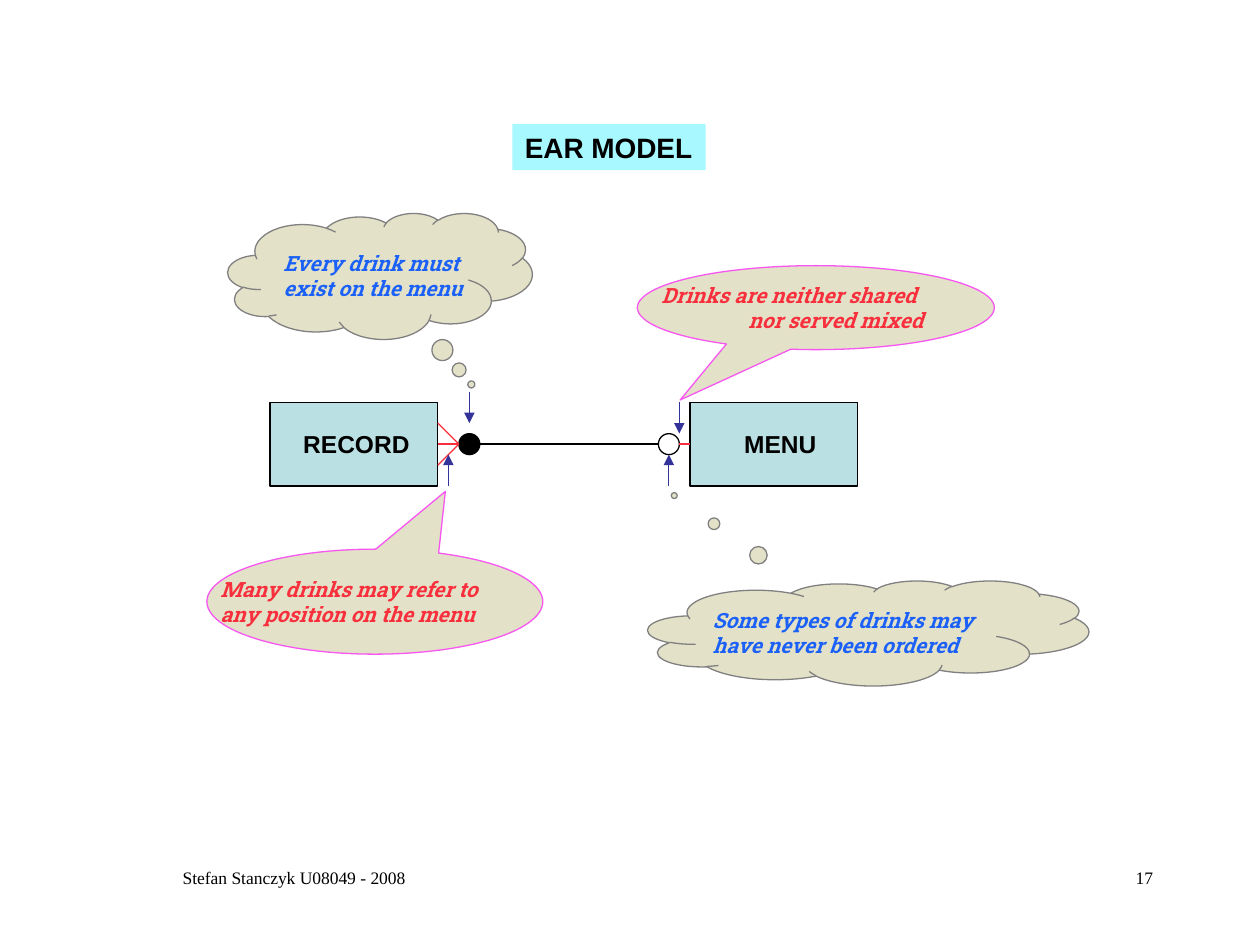
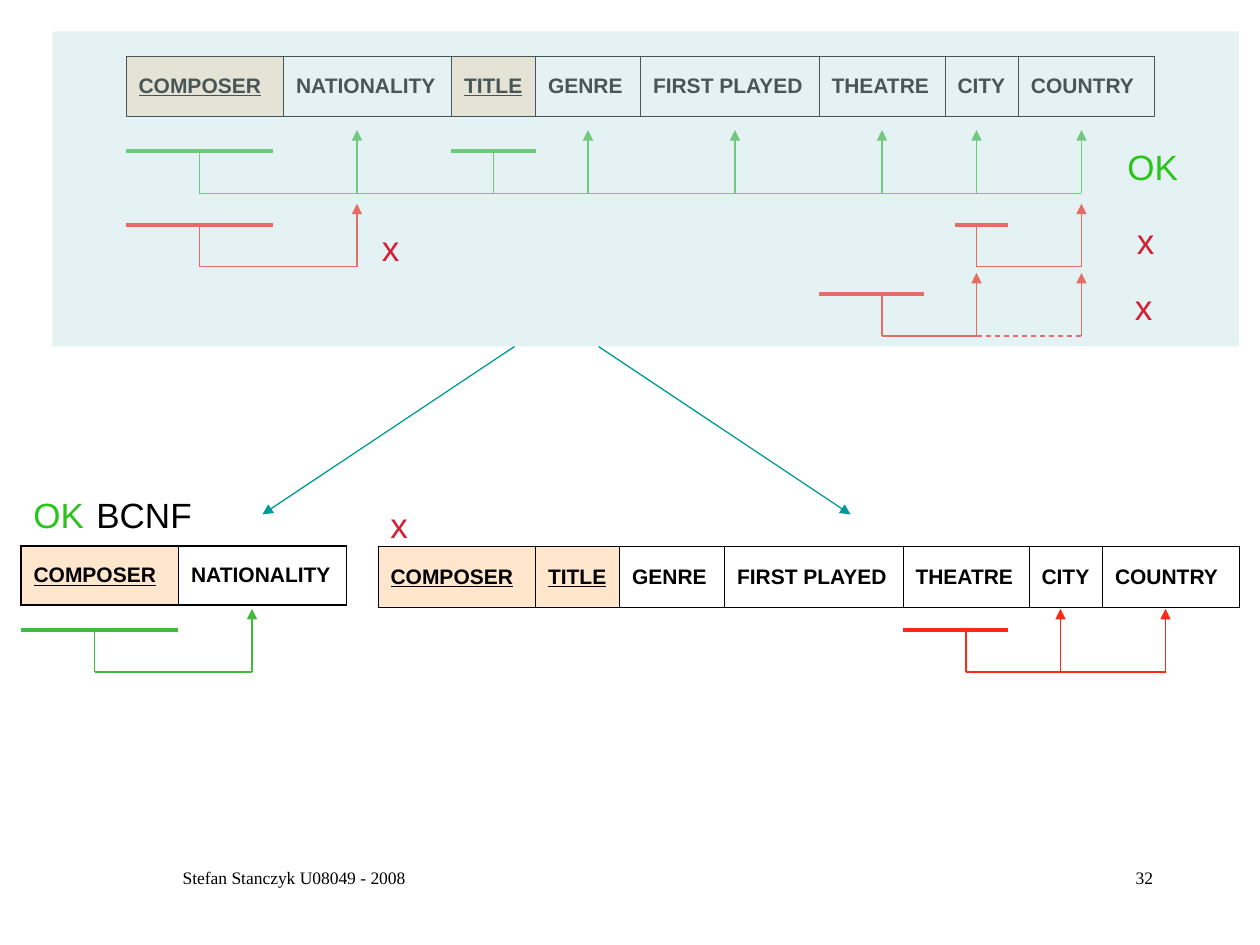
"""Build the EAR model slide and the table decomposition slide on a grid of twelfths of an inch."""
from lxml.etree import SubElement
from pptx import Presentation
from pptx.dml.color import RGBColor
from pptx.enum.dml import MSO_LINE
from pptx.enum.shapes import MSO_CONNECTOR, MSO_SHAPE as SHAPE
from pptx.enum.text import MSO_ANCHOR, PP_ALIGN as ALIGN
from pptx.oxml.ns import qn
from pptx.util import Inches, Pt

BLACK = RGBColor(0x00, 0x00, 0x00)
WHITE = RGBColor(0xFF, 0xFF, 0xFF)
SAND = RGBColor(0xE3, 0xE1, 0xC8)
GREY = RGBColor(0x80, 0x80, 0x80)
PINK = RGBColor(0xF8, 0x56, 0xF0)
BLUE = RGBColor(0x1B, 0x61, 0xF8)
RED = RGBColor(0xF8, 0x2F, 0x3C)
NAVY = RGBColor(0x33, 0x33, 0x99)
AQUA = RGBColor(0xBB, 0xE0, 0xE3)
CYAN = RGBColor(0xA8, 0xF8, 0xFF)
TEAL = RGBColor(0x00, 0x99, 0x99)
PEACH = RGBColor(0xFF, 0xE6, 0xCD)
GOOD_LINE = RGBColor(0x44, 0xB9, 0x3F)
BAD_LINE = RGBColor(0xFF, 0x27, 0x18)
GOOD = RGBColor(0x2A, 0xC4, 0x1A)
BAD = RGBColor(0xD5, 0x1E, 0x34)

SANS, SERIF, SLAB = "Arial", "Times New Roman", "Roboto Slab"
FOOTER = "Stefan Stanczyk U08049 - 2008"

CLOUD = (SHAPE.CLOUD_CALLOUT, GREY, BLUE)
SPEECH = (SHAPE.OVAL_CALLOUT, PINK, RED)
BUBBLES = [
    (CLOUD, (61.7, 55.3, 42, 10), (-0.44, -1.31), (66.7, 57.3, 30.5, 6),
     ["Some types of drinks may", "have never been ordered"], 0),
    (CLOUD, (21.7, 20.3, 29, 12), (0.3, 0.86), (25.8, 23.3, 21.4, 6),
     ["Every drink must", "exist on the menu"], 0),
    (SPEECH, (19.7, 52.3, 32, 10), (0.21, -1.05), (19.8, 54.3, 30, 6),
     ["Many drinks may refer to", "any position on the menu"], 0),
    (SPEECH, (60.7, 25.3, 34, 8), (-0.38, 1.1), (61.8, 26.3, 32, 6),
     ["Drinks are neither shared", "nor served mixed"], 8.3),
]
MODEL_X, MODEL_Y = 25.7, 38.3
ENTITIES = [("RECORD", 0, 2), ("MENU", 40, 44)]
MEMBERSHIPS = [(18, BLACK), (37, WHITE)]
RELATION_ENDS = [(18, 4, 16, 2), (18, 4, 16, 4), (18, 4, 16, 6), (40, 4, 39, 4)]
POINTERS = [(19, -1, 19, 2), (17, 8, 17, 5), (38, 8, 38, 5), (39, 0, 39, 3)]

COLUMN_WIDTHS = {"COMPOSER": 15, "NATIONALITY": 16, "TITLE": 8, "GENRE": 10,
                 "FIRST PLAYED": 17, "THEATRE": 12, "CITY": 7, "COUNTRY": 13}
KEYS = {"COMPOSER", "TITLE"}
COMPOSERS = ["COMPOSER", "NATIONALITY"]
WORKS = [name for name in COLUMN_WIDTHS if name != "NATIONALITY"]
SPLITS = [(49, 33, 25, 49), (57, 33, 81, 49)]

DETERMINANT_COMPOSER = (12, 26, 19)
UPPER_DEPENDENCIES = [
    (14.4, [DETERMINANT_COMPOSER, (43, 51, 47)], [34, 56, 70, 84, 93, 103], GOOD_LINE, None),
    (21.4, [DETERMINANT_COMPOSER], [34], BAD_LINE, None),
    (21.4, [(91, 96, 93)], [103], BAD_LINE, None),
    (28, [(78, 88, 84)], [93, 103], BAD_LINE, 93),
]
LOWER_DEPENDENCIES = [
    (60, [(2, 17, 9)], [24], GOOD_LINE, None),
    (60, [(86, 96, 92)], [101, 111], BAD_LINE, None),
]
LOWER_VERDICTS = [
    ((2, 45.1, 17.4, 6.8), [("OK", SANS, 20, GOOD), (" ", SERIF, 28, GOOD_LINE),
                            ("BCNF", SANS, 20, BLACK)]),
    ((36, 47.4, 4.1, 5.3), [("x", SANS, 20, BAD)]),
]
UPPER_VERDICTS = [
    ((107.1, 20.3, 4.1, 5.3), [("x", SANS, 20, BAD)]),
    ((35.2, 21, 4.1, 5.3), [("x", SANS, 20, BAD)]),
    ((106.9, 26.6, 4.1, 5.3), [("x", SANS, 20, BAD)]),
    ((106.2, 13.3, 7.2, 5.3), [("OK", SANS, 20, GOOD)]),
]


def grid(*cells):
    return [Inches(cell / 12) for cell in cells]


def style(paragraph, face, size, color, bold=False, italic=False, underline=False):
    font = paragraph.font
    font.name, font.size, font.bold, font.italic = face, Pt(size), bold, italic
    font.underline = underline
    font.color.rgb = color


def add_box(slide, kind, place, fill, outline=None):
    box = slide.shapes.add_shape(kind, *grid(*place))
    box.shadow.inherit = False
    box.fill.solid()
    box.fill.fore_color.rgb = fill
    if outline is None:
        box.line.fill.background()
    else:
        box.line.color.rgb = outline
        box.line.width = Pt(0.75)
    return box


def add_text(slide, place, lines, *look, align=ALIGN.LEFT, last_indent=0, **emphasis):
    frame = slide.shapes.add_textbox(*grid(*place)).text_frame
    frame.word_wrap = True
    if align == ALIGN.LEFT:
        frame.margin_right = 0
    frame.text = "\n".join(lines)
    for paragraph in frame.paragraphs:
        paragraph.alignment = align
        style(paragraph, *look, **emphasis)
    if last_indent:
        frame.paragraphs[-1]._p.get_or_add_pPr().set("marL", str(grid(last_indent)[0]))


def add_verdict(slide, place, parts):
    frame = slide.shapes.add_textbox(*grid(*place)).text_frame
    frame.word_wrap = True
    frame.margin_right = 0
    for words, *look in parts:
        run = frame.paragraphs[0].add_run()
        run.text = words
        style(run, *look)


def add_line(slide, ends, color, width=0.75, arrow=False, dashed=False):
    link = slide.shapes.add_connector(MSO_CONNECTOR.STRAIGHT, *grid(*ends))
    link.line.color.rgb = color
    link.line.width = Pt(width)
    if dashed:
        link.line.dash_style = MSO_LINE.DASH
    if arrow:
        SubElement(link.line._get_or_add_ln(), qn("a:tailEnd"), type="triangle")
    SubElement(link._element.spPr, qn("a:effectLst"))


def add_border(cell, side, width):
    edge = SubElement(cell._tc.get_or_add_tcPr(), qn(f"a:ln{side}"), w=str(Pt(width)))
    SubElement(SubElement(edge, qn("a:solidFill")), qn("a:srgbClr"), val=str(BLACK))


def add_relation(slide, left, top, height, names, outer=0.45, inner=0.45):
    widths = [COLUMN_WIDTHS[name] for name in names]
    table = slide.shapes.add_table(1, len(names), *grid(left, top, sum(widths), height)).table
    table.first_row = table.horz_banding = False
    table.rows[0].height = grid(height)[0]
    for index, name in enumerate(names):
        table.columns[index].width = grid(widths[index])[0]
        cell = table.cell(0, index)
        cell.text = name
        cell.vertical_anchor = MSO_ANCHOR.MIDDLE
        cell.margin_right = 0
        style(cell.text_frame.paragraphs[0], SANS, 12, BLACK, bold=True, underline=name in KEYS)
        add_border(cell, "L", outer if index == 0 else inner)
        add_border(cell, "R", outer if name == names[-1] else inner)
        add_border(cell, "T", outer)
        add_border(cell, "B", outer)
        if name in KEYS:
            cell.fill.solid()
            cell.fill.fore_color.rgb = PEACH
        else:
            cell.fill.background()


def add_dependency(slide, top, determinants, targets, color, dashed_from):
    bus, tip = top + 4, top - 2
    for start, end, stem in determinants:
        add_line(slide, (start, top, end, top), color, width=2.25)
        add_line(slide, (stem, top, stem, bus), color)
    for target in targets:
        add_line(slide, (target, bus, target, tip), color, arrow=True)
    solid_end = dashed_from or targets[-1]
    add_line(slide, (determinants[0][2], bus, solid_end, bus), color)
    if dashed_from:
        add_line(slide, (dashed_from, bus, targets[-1], bus), color, dashed=True)


def add_footer(slide, number):
    add_text(slide, (9, 82, 38, 6), [FOOTER], SERIF, 10, BLACK, align=ALIGN.CENTER)
    add_text(slide, (86, 82, 25, 6), [number], SERIF, 10, BLACK, align=ALIGN.RIGHT)


def in_model(x1, y1, x2, y2):
    return x1 + MODEL_X, y1 + MODEL_Y, x2 + MODEL_X, y2 + MODEL_Y


def build_ear_model(slide):
    for (kind, outline, ink), place, pointer, text_place, lines, indent in BUBBLES:
        bubble = add_box(slide, kind, place, SAND, outline)
        bubble.adjustments[0], bubble.adjustments[1] = pointer
        add_text(slide, text_place, lines, SLAB, 12, ink,
                 last_indent=indent, bold=True, italic=True)
    title_place = (48.8, 11.8, 18.4, 4.4)
    add_box(slide, SHAPE.RECTANGLE, title_place, CYAN)
    add_text(slide, title_place, ["EAR MODEL"], SANS, 16, BLACK, bold=True)
    add_line(slide, in_model(16, 4, 40, 4), BLACK)
    for name, left, label_left in ENTITIES:
        add_box(slide, SHAPE.RECTANGLE, (MODEL_X + left, MODEL_Y, 16, 8), AQUA, BLACK)
        add_text(slide, (MODEL_X + label_left, MODEL_Y + 2, 12.5, 4), [name],
                 SANS, 14, BLACK, bold=True)
    for left, fill in MEMBERSHIPS:
        add_box(slide, SHAPE.OVAL, (MODEL_X + left, MODEL_Y + 3, 2, 2), fill, BLACK)
    for ends in RELATION_ENDS:
        add_line(slide, in_model(*ends), RED)
    for ends in POINTERS:
        add_line(slide, in_model(*ends), NAVY, arrow=True)
    add_footer(slide, "17")


def build_decomposition(slide):
    add_relation(slide, 2, 52, 5.64, COMPOSERS, outer=1.08)
    add_relation(slide, 36, 52, 5.84, WORKS)
    for dependency in LOWER_DEPENDENCIES:
        add_dependency(slide, *dependency)
    for verdict in LOWER_VERDICTS:
        add_verdict(slide, *verdict)
    for ends in SPLITS:
        add_line(slide, ends, TEAL, arrow=True)
    add_relation(slide, 12, 5.4, 5.64, list(COLUMN_WIDTHS))
    for dependency in UPPER_DEPENDENCIES:
        add_dependency(slide, *dependency)
    veil = add_box(slide, SHAPE.RECTANGLE, (5, 3, 113, 30), AQUA)
    tint = veil._element.spPr.find(qn("a:solidFill"))[0]
    SubElement(tint, qn("a:alpha"), val="39000")
    for verdict in UPPER_VERDICTS:
        add_verdict(slide, *verdict)
    add_footer(slide, "32")


def main():
    deck = Presentation()
    deck.slide_width, deck.slide_height = grid(120, 90)
    for build in (build_ear_model, build_decomposition):
        build(deck.slides.add_slide(deck.slide_layouts[6]))
    deck.save("out.pptx")


if __name__ == "__main__":
    main()
